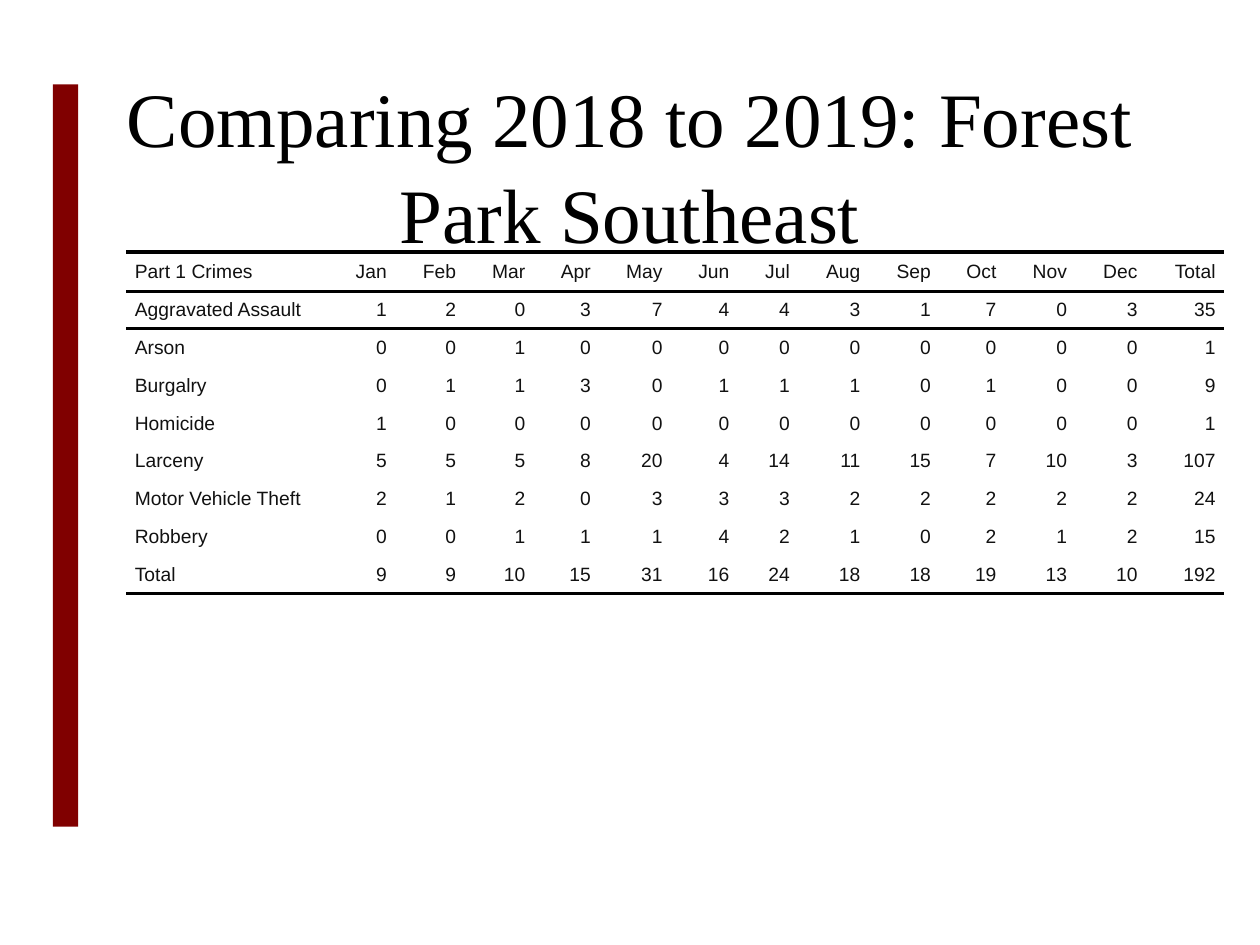
from lxml import etree
from pptx import Presentation
from pptx.dml.color import RGBColor
from pptx.enum.shapes import MSO_SHAPE
from pptx.enum.text import MSO_ANCHOR, PP_ALIGN
from pptx.oxml.ns import qn
from pptx.util import Inches, Pt

RECT = MSO_SHAPE.RECTANGLE
MIDDLE = MSO_ANCHOR.MIDDLE
LEFT, CENTER, RIGHT = PP_ALIGN.LEFT, PP_ALIGN.CENTER, PP_ALIGN.RIGHT
MAROON = RGBColor(0x80, 0x00, 0x00)
BLACK = RGBColor(0x00, 0x00, 0x00)
INK = RGBColor(0x11, 0x11, 0x11)
NO_STYLE = "{2D5ABB26-0587-4C30-8999-92F81FD0307C}"
TITLE_FONT = {"name": "Times New Roman", "size": Pt(44)}
CELL_FONT = {"name": "Arial", "size": Pt(11)}
ZERO_MARGINS = dict.fromkeys(
    ("margin_left", "margin_right", "margin_top", "margin_bottom"), 0)
CELL_FORMAT = {**ZERO_MARGINS, "vertical_anchor": MIDDLE}
CELL_SPACING = {"space_before": Pt(2), "space_after": Pt(2)}

MONTHS = "Jan Feb Mar Apr May Jun Jul Aug Sep Oct Nov Dec".split()
CRIMES = [
    ("Aggravated Assault", 1, 2, 0, 3, 7, 4, 4, 3, 1, 7, 0, 3, 35),
    ("Arson", 0, 0, 1, 0, 0, 0, 0, 0, 0, 0, 0, 0, 1),
    ("Burgalry", 0, 1, 1, 3, 0, 1, 1, 1, 0, 1, 0, 0, 9),
    ("Homicide", 1, 0, 0, 0, 0, 0, 0, 0, 0, 0, 0, 0, 1),
    ("Larceny", 5, 5, 5, 8, 20, 4, 14, 11, 15, 7, 10, 3, 107),
    ("Motor Vehicle Theft", 2, 1, 2, 0, 3, 3, 3, 2, 2, 2, 2, 2, 24),
    ("Robbery", 0, 0, 1, 1, 1, 4, 2, 1, 0, 2, 1, 2, 15),
    ("Total", 9, 9, 10, 15, 31, 16, 24, 18, 18, 19, 13, 10, 192),
]
COL_WIDTHS = [1.61, 0.53, 0.55, 0.55, 0.52, 0.57, 0.53, 0.48,
              0.56, 0.56, 0.52, 0.56, 0.56, 0.62]
HEADER_HEIGHT, ROW_HEIGHT = 0.31, 0.3


def apply(obj, values):
    for name, value in values.items():
        setattr(obj, name, value)


def add_run(p, text, font, color):
    r = p.add_run()
    r.text = text
    apply(r.font, font)
    r.font.color.rgb = color


def add_side_bar(s, x, y, w, h):
    sp = s.shapes.add_shape(RECT, Inches(x), Inches(y), Inches(w), Inches(h))
    sp.shadow.inherit = False
    sp.fill.solid()
    sp.fill.fore_color.rgb = MAROON
    sp.line.fill.background()


def add_title(s, x, y, w, h, text):
    sp = s.shapes.add_textbox(Inches(x), Inches(y), Inches(w), Inches(h))
    tf = sp.text_frame
    apply(tf, {"word_wrap": True, "vertical_anchor": MIDDLE})
    p = tf.paragraphs[0]
    apply(p, {"alignment": CENTER, "line_spacing": 1.04})
    add_run(p, text, TITLE_FONT, BLACK)


def add_borders(cell, sides):
    tcPr = cell._tc.get_or_add_tcPr()
    for i, side in enumerate(sides):
        ln = etree.Element(qn(f"a:ln{side}"), w=str(Pt(2)))
        fill = etree.SubElement(ln, qn("a:solidFill"))
        etree.SubElement(fill, qn("a:srgbClr"), val=str(BLACK))
        tcPr.insert(i, ln)


def fill_cell(cell, text, align, sides):
    apply(cell, CELL_FORMAT)
    cell.fill.background()
    p = cell.text_frame.paragraphs[0]
    apply(p, {"alignment": align, **CELL_SPACING})
    pPr = p._p.get_or_add_pPr()
    for side in ("marL", "marR"):
        pPr.set(side, str(Inches(0.07)))
    add_run(p, text, CELL_FONT, INK)
    add_borders(cell, sides)


def add_crime_table(s, x, y):
    rows = [("Part 1 Crimes", *MONTHS, "Total"), *CRIMES]
    heights = [HEADER_HEIGHT] + [ROW_HEIGHT] * len(CRIMES)
    frame = s.shapes.add_table(len(rows), len(COL_WIDTHS), Inches(x), Inches(y),
                               Inches(sum(COL_WIDTHS)), Inches(sum(heights)))
    table = frame.table
    apply(table, {"first_row": False, "horz_banding": False})
    table._tbl.tblPr.find(qn("a:tableStyleId")).text = NO_STYLE
    for col, width in zip(table.columns, COL_WIDTHS):
        col.width = Inches(width)
    for row, height in zip(table.rows, heights):
        row.height = Inches(height)
    borders = {0: "TB", 1: "T", len(rows) - 1: "B"}
    for i, values in enumerate(rows):
        for j, value in enumerate(values):
            fill_cell(table.cell(i, j), str(value), RIGHT if j else LEFT,
                      borders.get(i, ""))


prs = Presentation()
prs.slide_width, prs.slide_height = Inches(10), Inches(7.5)
s = prs.slides.add_slide(prs.slide_layouts[6])
add_side_bar(s, 0.42, 0.67, 0.2, 5.89)
add_title(s, 0.75, 0.67, 8.5, 1.25, "Comparing 2018 to 2019: Forest Park Southeast")
add_crime_table(s, 1, 2)
prs.save("out.pptx")
